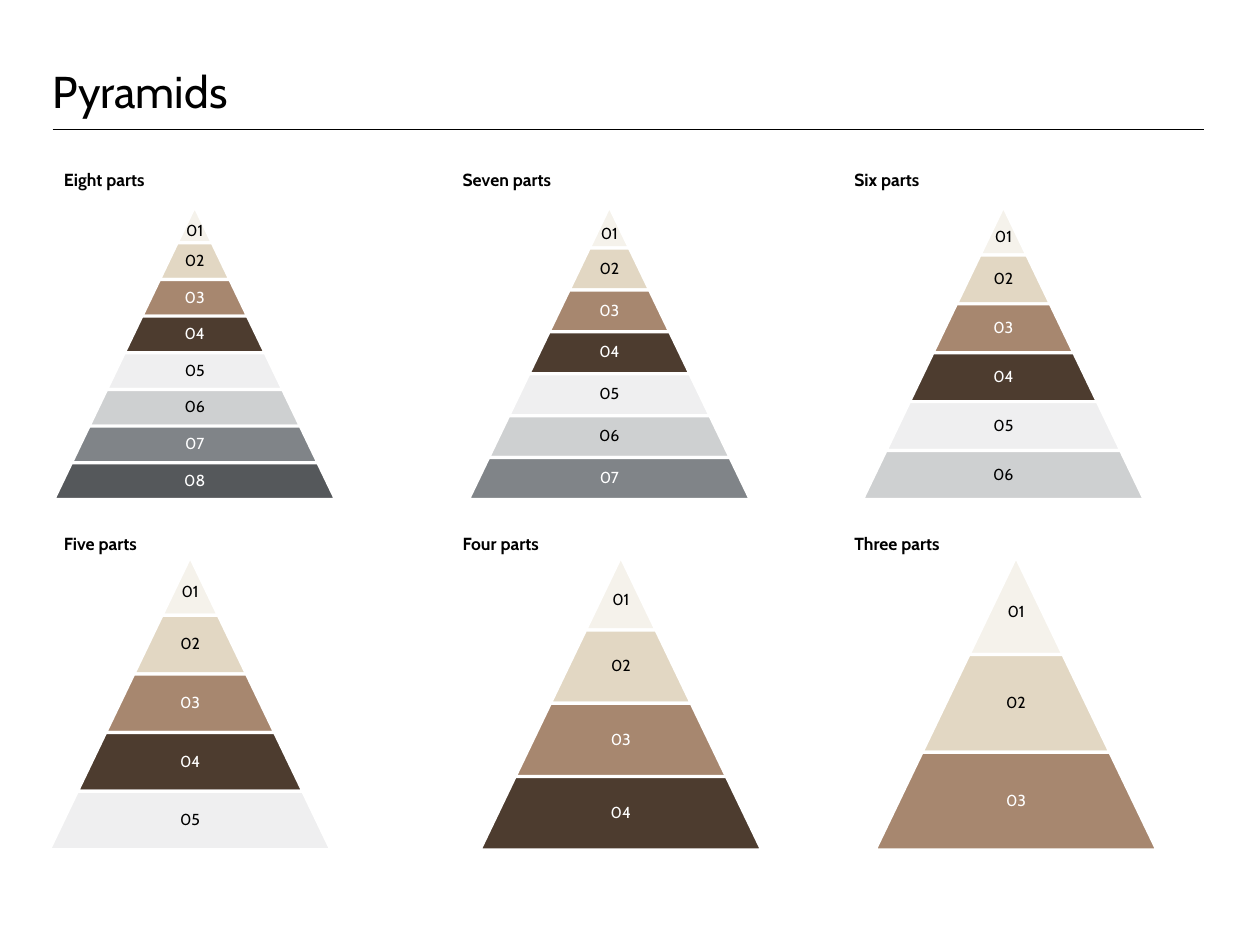
from dataclasses import dataclass

from lxml.etree import SubElement
from pptx import Presentation
from pptx.dml.color import RGBColor
from pptx.enum.shapes import MSO_CONNECTOR
from pptx.enum.text import MSO_ANCHOR, PP_ALIGN
from pptx.oxml.ns import qn
from pptx.util import Inches, Pt


@dataclass(frozen=True)
class Theme:
    font: str = "Cabin"
    black: RGBColor = RGBColor.from_string("000000")
    white: RGBColor = RGBColor.from_string("FFFFFF")
    title_size: Pt = Pt(28)
    heading_size: Pt = Pt(11)
    label_size: Pt = Pt(10)
    # Fill of each level, from the tip down
    levels: tuple = ("F5F2EB", "E2D7C3", "A7876F", "4D3C2F",
                     "EFEFF0", "CED0D1", "808488", "55585B")
    light_text_levels: tuple = (3, 4, 7, 8)


theme = Theme()


def write(shape, text, size, color=theme.black, bold=False, frame_format=None, para_format=None):
    """Put one formatted paragraph in a shape."""
    frame = shape.text_frame
    for name, value in {"word_wrap": True, **(frame_format or {})}.items():
        setattr(frame, name, value)
    para = frame.paragraphs[0]
    for name, value in {"alignment": PP_ALIGN.LEFT, **(para_format or {})}.items():
        setattr(para, name, value)
    span = para.add_run()
    span.text = text
    for name, value in {"name": theme.font, "size": size, "bold": bold}.items():
        setattr(span.font, name, value)
    span.font.color.rgb = color


deck = Presentation()
deck.slide_width, deck.slide_height = Inches(11), Inches(8.25)
page = deck.slides.add_slide(deck.slide_layouts[6])

# Title and rule
margin, content_width, rule_top = 0.46, 10.05, 1.13
rule = page.shapes.add_connector(
    MSO_CONNECTOR.STRAIGHT, Inches(margin), Inches(rule_top),
    Inches(margin + content_width), Inches(rule_top))
rule.line.color.rgb = theme.black
rule.line.width = Pt(0.75)
SubElement(rule._element.spPr, qn("a:effectLst"))

title = page.shapes.add_textbox(Inches(margin), 0, Inches(content_width), Inches(1.03))
write(title, "Pyramids", theme.title_size,
      frame_format={"vertical_anchor": MSO_ANCHOR.BOTTOM, "margin_left": 0,
                    "margin_top": 0, "margin_right": 0, "margin_bottom": 0},
      para_format={"line_spacing": Pt(32)})

# Pyramids
pyramid_width, pyramid_height = 2.46, 2.56
heading_lefts = (0.46, 3.94, 7.36)
rows = (
    # heading top, pyramid top, (heading, level count, pyramid centre)
    (1.43, 1.8, (("Eight parts", 8, 1.7), ("Seven parts", 7, 5.32), ("Six parts", 6, 8.76))),
    (4.6, 4.86, (("Five parts", 5, 1.66), ("Four parts", 4, 5.42), ("Three parts", 3, 8.87))),
)

for heading_top, pyramid_top, pyramids in rows:
    for heading_left, (heading, count, center) in zip(heading_lefts, pyramids):
        box = page.shapes.add_textbox(
            Inches(heading_left), Inches(heading_top), Inches(3.14), Inches(0.39))
        write(box, heading, theme.heading_size, bold=True)

        pyramid = page.shapes.add_group_shape()
        level_height = pyramid_height / count
        half_step = pyramid_width / count / 2
        for number in range(1, count + 1):
            bottom = pyramid_top + number * level_height
            top = bottom - level_height
            half_bottom = number * half_step
            half_top = half_bottom - half_step
            corners = [(center - half_bottom, bottom), (center - half_top, top),
                       (center + half_top, top), (center + half_bottom, bottom)]
            if number == 1:
                corners.pop(2)
            points = [(Inches(x), Inches(y)) for x, y in corners]
            builder = pyramid.shapes.build_freeform(*points[0])
            builder.add_line_segments(points[1:], close=True)
            level = builder.convert_to_shape()
            level.shadow.inherit = False
            level.fill.solid()
            level.fill.fore_color.rgb = RGBColor.from_string(theme.levels[number - 1])
            level.line.color.rgb = theme.white
            level.line.width = Pt(2)

            is_tip = number == 1
            side = Inches(0 if is_tip else 0.02 + 0.05 * number)
            write(level, f"{number:02}", theme.label_size,
                  color=theme.white if number in theme.light_text_levels else theme.black,
                  frame_format={"vertical_anchor": MSO_ANCHOR.MIDDLE,
                                "margin_left": side, "margin_right": side,
                                "margin_top": Inches(0.12 if is_tip else 0.01),
                                "margin_bottom": Inches(0 if is_tip else 0.01)},
                  para_format={"alignment": PP_ALIGN.CENTER, "line_spacing": 0.9})

deck.save("out.pptx")
